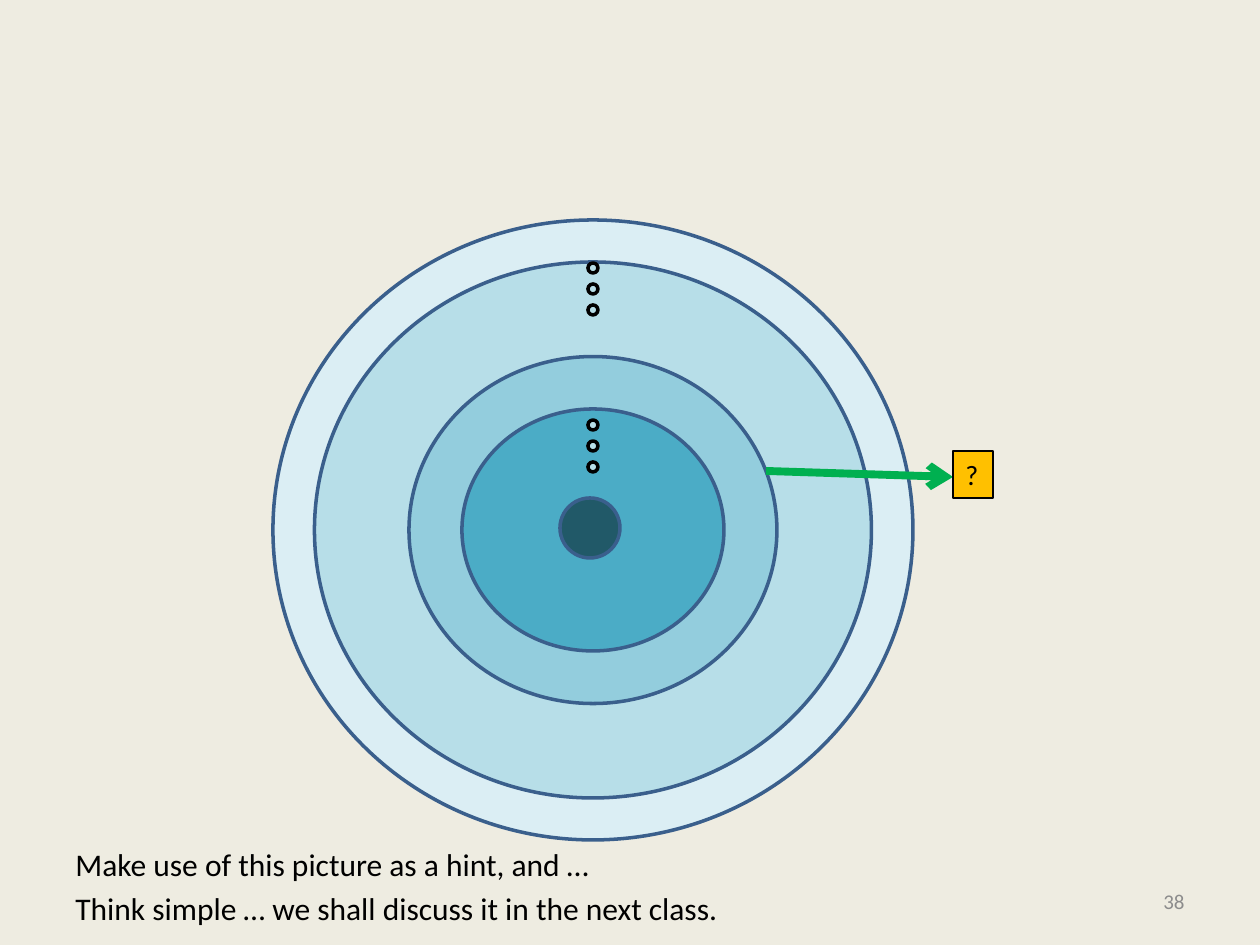
from dataclasses import dataclass

from lxml.etree import SubElement
from pptx import Presentation
from pptx.dml.color import RGBColor
from pptx.enum.shapes import MSO_CONNECTOR, MSO_SHAPE
from pptx.enum.text import MSO_ANCHOR, PP_ALIGN
from pptx.oxml.ns import qn
from pptx.util import Emu, Pt

PX = 914400 / 126
FONT = "Calibri"
CREAM = RGBColor(0xEE, 0xEC, 0xE1)
BLACK = RGBColor(0x00, 0x00, 0x00)
GREY = RGBColor(0x8C, 0x8C, 0x8C)
NAVY = RGBColor(0x3A, 0x5F, 0x8C)
MIST = RGBColor(0xDB, 0xEE, 0xF4)
PALE = RGBColor(0xB7, 0xDE, 0xE8)
SKY = RGBColor(0x93, 0xCD, 0xDD)
TEAL = RGBColor(0x4B, 0xAC, 0xC6)
DEEP = RGBColor(0x21, 0x59, 0x68)
GREEN = RGBColor(0x00, 0xB0, 0x50)
AMBER = RGBColor(0xFF, 0xC0, 0x00)


@dataclass(frozen=True)
class Disc:
    """An ellipse placed by its centre, in px."""
    x: int
    y: int
    wide: int
    high: int
    fill: RGBColor
    edge: RGBColor = NAVY


MID_X, MID_Y = 593, 530
RINGS = [
    Disc(MID_X, MID_Y, 640, 620, MIST),
    Disc(MID_X, MID_Y, 557, 536, PALE),
    Disc(MID_X, MID_Y, 368, 347, SKY),
    Disc(MID_X, MID_Y, 262, 242, TEAL),
    Disc(590, 528, 60, 60, DEEP),
]
DOT, DOT_GAP = 10, 21
DOT_TOPS = [268, 425]
HINTS = [
    "Make use of this picture as a hint, and …",
    "Think simple … we shall discuss it in the next class.",
]


def px(size: float) -> Emu:
    return Emu(round(size * PX))


def add_disc(shapes, disc: Disc) -> None:
    oval = shapes.add_shape(
        MSO_SHAPE.OVAL, px(disc.x - disc.wide / 2), px(disc.y - disc.high / 2),
        px(disc.wide), px(disc.high))
    oval.shadow.inherit = False
    oval.fill.solid()
    oval.fill.fore_color.rgb = disc.fill
    oval.line.color.rgb = disc.edge
    oval.line.width = Pt(2)


def add_dots(shapes, top: int) -> None:
    group = shapes.add_group_shape()
    for row in range(3):
        add_disc(group.shapes,
                 Disc(MID_X, top + row * DOT_GAP, DOT, DOT, PALE, BLACK))


def add_arrow(shapes, start: tuple[int, int], end: tuple[int, int]) -> None:
    arrow = shapes.add_connector(
        MSO_CONNECTOR.STRAIGHT, *(px(v) for v in start + end))
    arrow.line.color.rgb = GREEN
    arrow.line.width = Pt(4.5)
    SubElement(arrow.line._get_or_add_ln(), qn("a:tailEnd"), type="arrow")
    SubElement(arrow._element.spPr, qn("a:effectLst"))


def add_text(shapes, box: tuple[int, int, int, int], lines: list[str],
             size: int, color: RGBColor = BLACK, wrap: bool = True,
             align: PP_ALIGN = PP_ALIGN.LEFT, gap: float = 0):
    label = shapes.add_textbox(*(px(v) for v in box))
    frame = label.text_frame
    frame.word_wrap = wrap
    for row, line in enumerate(lines):
        para = frame.add_paragraph() if row else frame.paragraphs[0]
        para.alignment = align
        if row:
            para.space_before = Pt(gap)
        run = para.add_run()
        run.text = line
        run.font.name = FONT
        run.font.size = Pt(size)
        run.font.color.rgb = color
    return label


def main() -> None:
    deck = Presentation()
    deck.slide_width, deck.slide_height = px(1260), px(945)
    slide = deck.slides.add_slide(deck.slide_layouts[6])
    slide.background.fill.solid()
    slide.background.fill.fore_color.rgb = CREAM
    shapes = slide.shapes

    for ring in RINGS:
        add_disc(shapes, ring)
    for top in DOT_TOPS:
        add_dots(shapes, top)
    add_arrow(shapes, (766, 471), (953, 477))

    query = add_text(shapes, (953, 451, 40, 47), ["?"], 16, wrap=False)
    query.fill.solid()
    query.fill.fore_color.rgb = AMBER
    query.line.color.rgb = BLACK
    query.line.width = Pt(0.75)

    add_text(shapes, (63, 839, 1134, 100), HINTS, 18, gap=3.6)
    number = add_text(shapes, (903, 876, 294, 50), ["38"], 12, GREY,
                      align=PP_ALIGN.RIGHT)
    number.text_frame.vertical_anchor = MSO_ANCHOR.MIDDLE

    deck.save("out.pptx")


if __name__ == "__main__":
    main()
